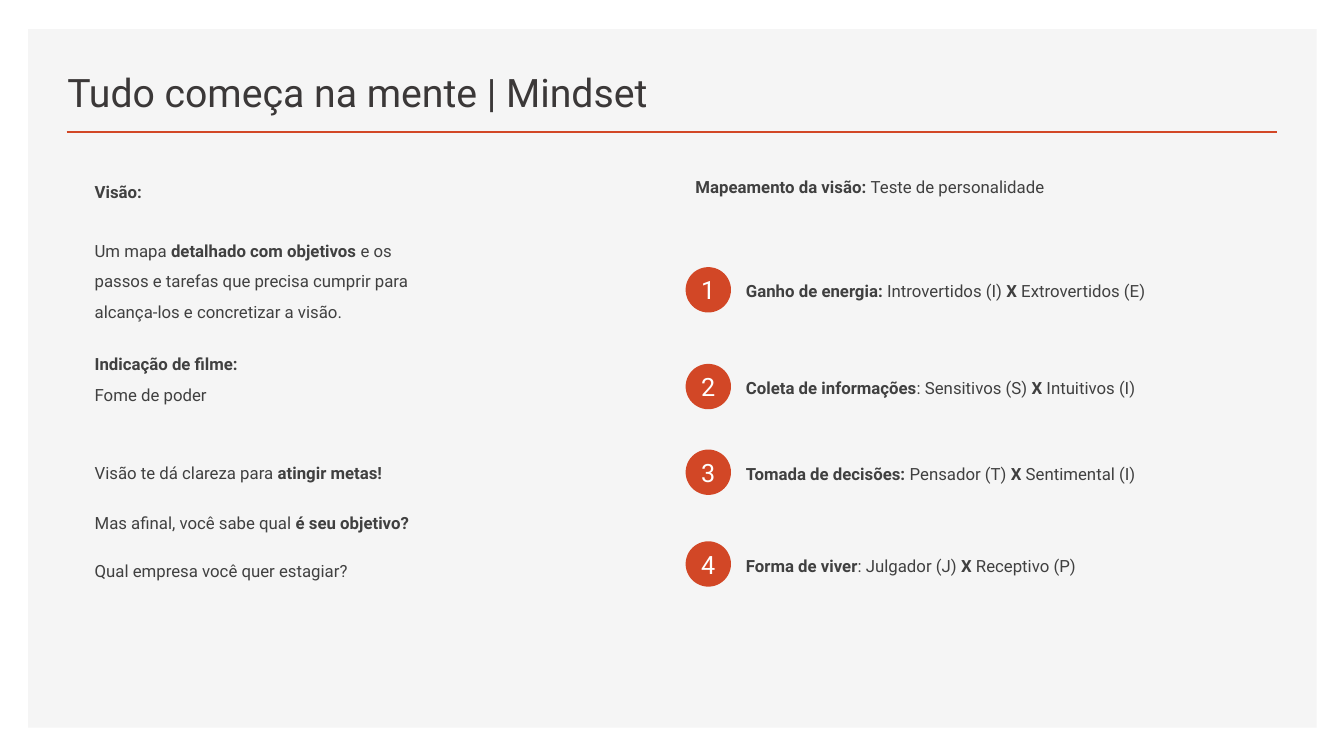
from pptx import Presentation
from pptx.dml.color import RGBColor
from pptx.enum.shapes import MSO_CONNECTOR, MSO_SHAPE
from pptx.enum.text import MSO_ANCHOR, PP_ALIGN
from pptx.oxml.ns import qn
from pptx.util import Inches, Pt

RECTANGLE, OVAL = MSO_SHAPE.RECTANGLE, MSO_SHAPE.OVAL
STRAIGHT = MSO_CONNECTOR.STRAIGHT
TOP, MIDDLE, BOTTOM = MSO_ANCHOR.TOP, MSO_ANCHOR.MIDDLE, MSO_ANCHOR.BOTTOM
LEFT, CENTER = PP_ALIGN.LEFT, PP_ALIGN.CENTER

COLORS = {
    "panel": "F5F5F5",
    "accent": "D24726",
    "title": "3B3838",
    "body": "404040",
    "number": "FFFFFF",
}
FIXED = Pt(18)

VISION = [
    ("**Visão:**", 1.5, 0),
    ("Um mapa **detalhado com objetivos **e os passos e tarefas que precisa "
     "cumprir para alcança-los e concretizar a visão.", 1.5, 21),
    ("**Indicação de filme:**", 1.5, 16),
    ("Fome de poder", 1.5, 0),
    ("Visão te dá clareza para **atingir metas!**", FIXED, 38),
    ("Mas afinal, você sabe qual **é seu objetivo?**", FIXED, 18),
    ("Qual empresa você quer estagiar?", FIXED, 16),
]
DIMENSIONS = [
    (2.65, "**Ganho de energia: **Introvertidos (I) **X** Extrovertidos (E)"),
    (3.61, "**Coleta de informações**: Sensitivos (S) **X** Intuitivos (I)"),
    (4.46, "**Tomada de decisões: **Pensador (T) **X** Sentimental (I)"),
    (5.37, "**Forma de viver**: Julgador (J) **X **Receptivo (P)"),
]


def write(paragraph, text, *, font="Roboto", size=12, color=COLORS["body"],
          align=LEFT, spacing=1.0, before=0):
    paragraph.alignment = align
    paragraph.line_spacing = spacing
    paragraph.space_before = Pt(before)
    paragraph.space_after = Pt(0)
    for index, part in enumerate(text.split("**")):
        if part:
            run = paragraph.add_run()
            run.text = part
            run.font.name = font
            run.font.size = Pt(size)
            run.font.bold = index % 2 == 1
            run.font.color.rgb = RGBColor.from_string(color)


class SlideBuilder:
    def __init__(self, slide, colors):
        self.slide = slide
        self.colors = colors

    def shape(self, kind, left, top, width, height, color):
        shape = self.slide.shapes.add_shape(
            kind, Inches(left), Inches(top), Inches(width), Inches(height))
        shape.shadow.inherit = False
        shape.fill.solid()
        shape.fill.fore_color.rgb = RGBColor.from_string(self.colors[color])
        shape.line.fill.background()
        return shape

    def rule(self, left, right, top, color, weight):
        rule = self.slide.shapes.add_connector(
            STRAIGHT, Inches(left), Inches(top), Inches(right), Inches(top))
        rule.line.color.rgb = RGBColor.from_string(self.colors[color])
        rule.line.width = Pt(weight)
        properties = rule._element.spPr
        properties.append(properties.makeelement(qn("a:effectLst"), {}))

    def text(self, left, top, width, height, anchor=TOP):
        box = self.slide.shapes.add_textbox(
            Inches(left), Inches(top), Inches(width), Inches(height))
        frame = box.text_frame
        frame.word_wrap = True
        frame.vertical_anchor = anchor
        return frame

    def badge(self, left, top, size, number):
        frame = self.shape(OVAL, left, top, size, size, "accent").text_frame
        frame.margin_left = frame.margin_right = 0
        frame.margin_top = frame.margin_bottom = 0
        frame.vertical_anchor = MIDDLE
        write(frame.paragraphs[0], str(number), size=18,
              color=self.colors["number"], align=CENTER)


def main():
    presentation = Presentation()
    presentation.slide_width = Inches(13.33)
    presentation.slide_height = Inches(7.5)
    slide = presentation.slides.add_slide(presentation.slide_layouts[6])
    builder = SlideBuilder(slide, COLORS)

    builder.shape(RECTANGLE, 0.28, 0.29, 12.78, 6.93, "panel")
    builder.rule(0.66, 12.67, 1.31, "accent", 2)
    title = builder.text(0.57, 0.49, 7.52, 0.7, BOTTOM)
    write(title.paragraphs[0], "Tudo começa na mente | Mindset",
          size=28, color=COLORS["title"])

    mapping = builder.text(6.8, 1.65, 6, 0.52)
    write(mapping.paragraphs[0],
          "**Mapeamento da visão: **Teste de personalidade", spacing=FIXED)

    for number, (top, description) in enumerate(DIMENSIONS, 1):
        builder.badge(6.8, top, 0.45, number)
        dimension = builder.text(7.3, top + 0.04, 4.93, 0.6)
        write(dimension.paragraphs[0], description, spacing=FIXED)

    vision = builder.text(0.84, 1.65, 3.49, 5.5)
    for index, (statement, spacing, before) in enumerate(VISION):
        paragraph = vision.add_paragraph() if index else vision.paragraphs[0]
        write(paragraph, statement, spacing=spacing, before=before)

    presentation.save("out.pptx")


if __name__ == "__main__":
    main()
